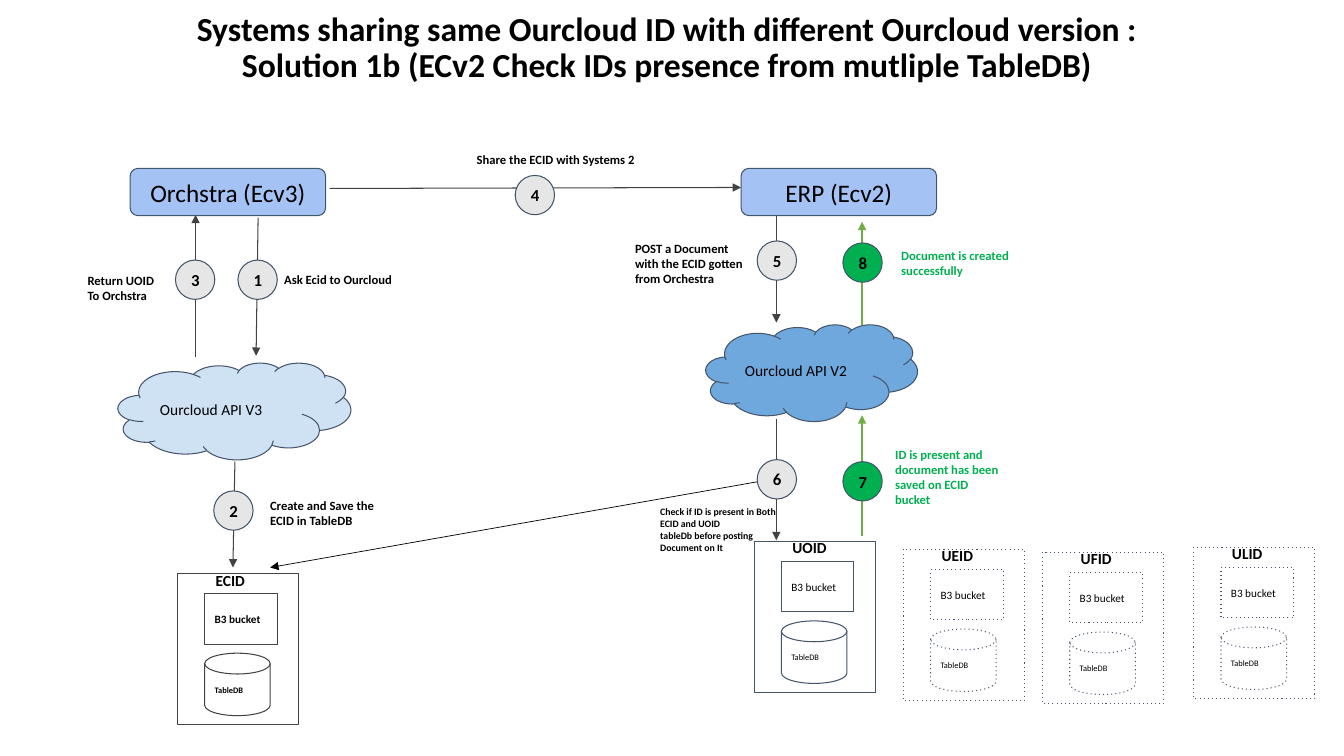
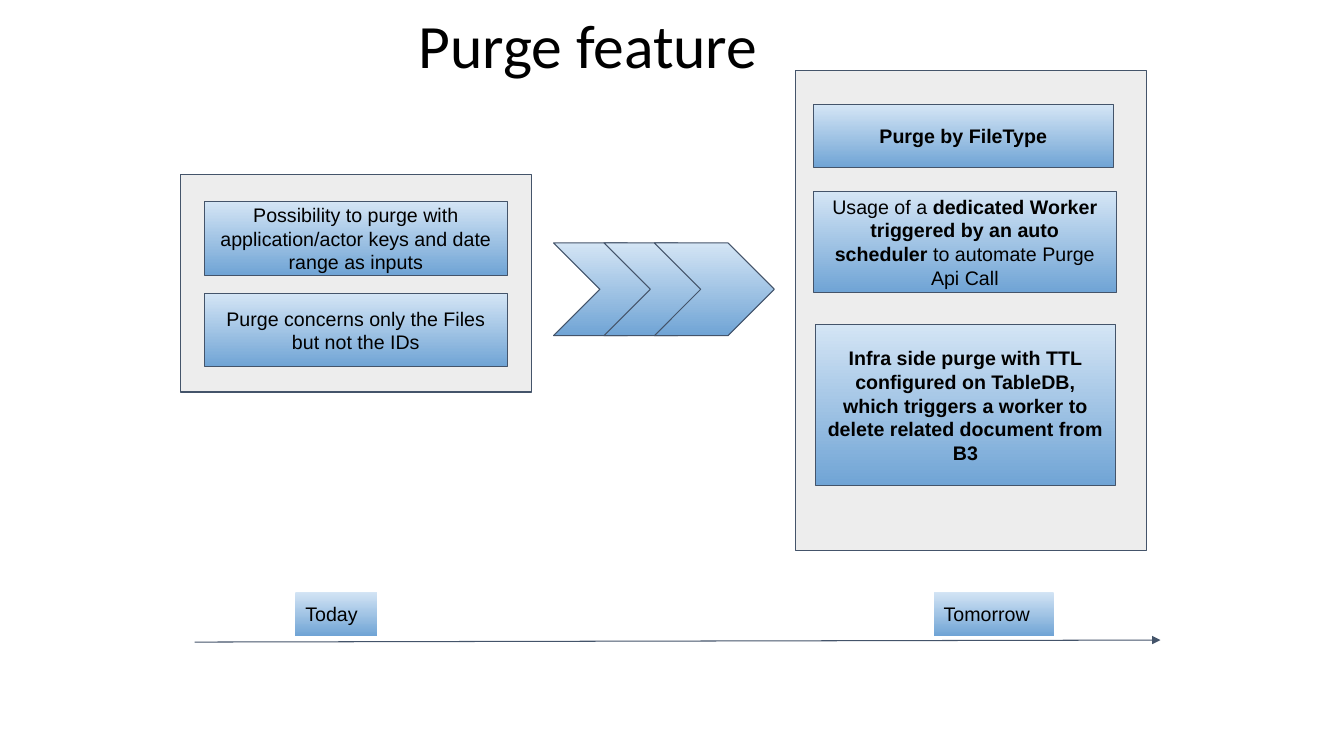
"""Builds two slides: a sharing flow between systems and the purge feature."""
from lxml import etree
from pptx import Presentation
from pptx import util as u
from pptx.dml.color import RGBColor
from pptx.enum import shapes, text
from pptx.oxml.ns import qn

HUES = {
    "ink": "000000", "edge": "44546A", "dark": "434343", "leaf": "70AD47",
    "green": "00B050", "grey": "E7E6E6", "panel": "EDEDED", "blue": "A4C2F4",
    "pale": "CFE2F3", "sky": "6FA8DC", "top": "D4E5F5", "base": "70A4D5",
}
CELL = 0.1
WIDE, HIGH = 133.3, 75
KIND = shapes.MSO_SHAPE
LEFT, MID = text.PP_ALIGN.LEFT, text.PP_ALIGN.CENTER
TOP, HALF = text.MSO_ANCHOR.TOP, text.MSO_ANCHOR.MIDDLE
SHADE = ("top", "base")


def grid(*cells):
    """Turn grid columns or rows into lengths."""
    return [u.Inches(cell * CELL) for cell in cells]


def hue(name):
    """Look up a colour by name."""
    return RGBColor.from_string(HUES[name])


def write(shape, words, size=14, font="Arial", tint="ink", bold=False,
          align=LEFT, anchor=HALF, inset=1, lead=None):
    """Fill a shape with text; lines are paragraphs and | flips bold."""
    frame = shape.text_frame
    frame.word_wrap = True
    frame.vertical_anchor = anchor
    pad, = grid(inset)
    frame.margin_left = frame.margin_right = pad
    frame.margin_top = frame.margin_bottom = pad
    for row, line in enumerate(words.split("\n")):
        para = frame.add_paragraph() if row else frame.paragraphs[0]
        para.alignment = align
        if lead:
            para.line_spacing = lead
        for turn, part in enumerate(line.split("|")):
            run = para.add_run()
            run.text = part
            run.font.name = font
            run.font.size = u.Pt(size)
            run.font.bold = bold != bool(turn % 2)
            run.font.color.rgb = hue(tint)


def label(page, place, words, **form):
    """Add a text box."""
    box = page.shapes.add_textbox(*grid(*place))
    write(box, words, **{"font": "Calibri", "size": 9, "bold": True,
                         "anchor": TOP, **form})


def title(page, place, words, **form):
    """Add the slide title."""
    label(page, place, words, anchor=HALF, lead=0.9, **form)


def shape(page, kind, place, fill=None, edge="edge", dots=False, words="", **form):
    """Add a preset shape, with a flat, shaded or empty fill."""
    item = page.shapes.add_shape(kind, *grid(*place))
    item.shadow.inherit = False
    if fill is None:
        item.fill.background()
    elif fill == SHADE:
        item.fill.gradient()
        item.fill.gradient_angle = 270
        for stop, name in zip(item.fill.gradient_stops, fill):
            stop.color.rgb = hue(name)
    else:
        item.fill.solid()
        item.fill.fore_color.rgb = hue(fill)
    if edge:
        item.line.color.rgb = hue(edge)
        item.line.width = u.Pt(0.75)
    else:
        item.line.fill.background()
    if dots:
        line = item._element.spPr.find(qn("a:ln"))
        etree.SubElement(line, qn("a:prstDash"), val="dot")
    if words:
        write(item, words, **form)


def arrow(page, start, tip, tint="dark", width=0.75):
    """Draw a line with an arrowhead at its tip."""
    item = page.shapes.add_connector(
        shapes.MSO_CONNECTOR.STRAIGHT, *grid(*start, *tip))
    item.line.color.rgb = hue(tint)
    item.line.width = u.Pt(width)
    part = item._element.spPr
    etree.SubElement(part.find(qn("a:ln")), qn("a:tailEnd"), type="triangle")
    etree.SubElement(part, qn("a:effectLst"))


def badge(page, left, top, step, fill="grey"):
    """Add a numbered step circle."""
    shape(page, KIND.OVAL, (left, top, 3.9, 3.9), fill, words=str(step),
          font="Calibri", size=12, bold=True)


def store(page, left, top, name, bold=False, **look):
    """Add a named store that holds a bucket and a table."""
    form = {"font": "Calibri", "bold": bold, **look}
    shape(page, KIND.RECTANGLE, (left, top, 12, 15), **look)
    shape(page, KIND.RECTANGLE, (left + 2.7, top + 2, 7.2, 5),
          words="B3 bucket", size=8, **form)
    shape(page, KIND.FLOWCHART_MAGNETIC_DISK, (left + 2.7, top + 7.9, 6.5, 6.2),
          words="TableDB", size=6, **form)
    label(page, (left + 2.8, top - 1.2, 6.1, 3.9), name, size=11)


def share(page):
    """Draw the sharing flow."""
    title(page, (-1, 1.7, WIDE + 1, 6.2),
          "Systems sharing same Ourcloud ID with different Ourcloud version :\n"
          "Solution 1b (ECv2 Check IDs presence from mutliple TableDB)",
          size=24, align=MID, inset=0)

    store(page, 17.6, 56.9, "ECID", bold=True, edge="dark")
    store(page, 74.8, 53.7, "UOID")
    for left, top, name in ((89.6, 54.5, "UEID"), (103.4, 54.8, "UFID"),
                            (118.4, 54.3, "ULID")):
        store(page, left, top, name, dots=True)

    for place, fill, words in (
            ((11.7, 36, 23.1, 9.6), "pale", "Ourcloud API V3"),
            ((70, 32.2, 21, 9.6), "sky", "Ourcloud API V2")):
        shape(page, KIND.CLOUD, place, fill, words=words, font="Calibri", size=11)

    for start, tip in (
            ((25.6, 21.6), (25.4, 35.3)), ((23.3, 45.8), (23.1, 56.3)),
            ((19.4, 35.4), (19.4, 21.3)), ((32.7, 18.7), (73.5, 18.6)),
            ((77, 21.2), (77, 32)), ((77, 41.6), (77, 53.6))):
        arrow(page, start, tip)
    for foot, tip in ((53.2, 41.2), (32.2, 22)):
        arrow(page, (85.5, foot), (85.5, tip), "leaf", 1)
    arrow(page, (75.1, 47.8), (26.8, 56.3), "ink", 0.5)

    spots = ((23.6, 25.8), (21.2, 48.7), (17.4, 25.8), (51.1, 17.4),
             (75.1, 23.9), (75.1, 45.6), (83.6, 45.8), (83.6, 24.1))
    for step, (left, top) in enumerate(spots, 1):
        badge(page, left, top, step, "green" if step > 6 else "grey")

    for place, words, form in (
            ((27.2, 26.2, 19.4, 5), "Ask Ecid to Ourcloud", {}),
            ((25.8, 48.4, 12.9, 6.6), "Create and Save the ECID in TableDB", {}),
            ((7.7, 26.1, 11.2, 5), "Return UOID\nTo Orchstra", {}),
            ((46.3, 14.3, 20.3, 3.5), "Share the ECID with Systems 2", {}),
            ((62, 22.9, 13.6, 6.6),
             "POST a Document with the ECID gotten from Orchestra", {}),
            ((64.5, 49.2, 13.6, 6.7),
             "Check if ID is present in Both ECID and UOID\n"
             "tableDb before posting Document on It", {"size": 7}),
            ((87.8, 43.3, 12.5, 8.1),
             "ID is present and document has been saved on ECID bucket",
             {"tint": "green"}),
            ((88.4, 23.6, 13, 5), "Document is created successfully",
             {"tint": "green"})):
        label(page, place, words, **form)

    for left, words in ((12.9, "Orchstra (Ecv3)"), (73.5, "ERP (Ecv2)")):
        shape(page, KIND.FLOWCHART_ALTERNATE_PROCESS, (left, 16.7, 19.4, 4.7),
              "blue", words=words, font="Calibri", size=18, align=MID)


def purge(page):
    """Draw the purge feature, today and tomorrow."""
    title(page, (40.5, -2.4, 75.9, 14.5), "Purge feature", size=44, bold=False)
    for place in ((78.9, 7, 34.8, 47.6), (17.9, 17.3, 34.8, 21.6)):
        shape(page, KIND.RECTANGLE, place, "panel")
    for turn in range(3):
        shape(page, KIND.CHEVRON, (54.9 + 5 * turn, 24.1, 21.9 - 10, 9.2), SHADE)
    arrow(page, (19.3, 63.7), (115.1, 63.5), "edge")
    for left, width, words in ((29.3, 8.1, "Today"), (92.6, 11.9, "Tomorrow")):
        shape(page, KIND.RECTANGLE, (left, 58.7, width, 4.4), SHADE, None,
              words=words, anchor=TOP)
    for place, words in (
            ((80.7, 10.4, 29.7, 6.2), "|Purge by FileType"),
            ((20.3, 20, 30, 7.3), "Possibility to purge with application/actor "
             "keys and date range as inputs"),
            ((20.3, 29.1, 30, 7.3),
             "Purge concerns only the Files but not the IDs"),
            ((80.7, 19, 30, 10), "Usage of a |dedicated Worker triggered by an "
             "auto scheduler| to automate Purge Api Call"),
            ((80.9, 32.2, 29.7, 16), "|Infra side purge with TTL configured on "
             "TableDB, which triggers a worker to delete related document "
             "from B3")):
        shape(page, KIND.RECTANGLE, place, SHADE, words=words, align=MID)


def main():
    """Build and save the deck."""
    deck = Presentation()
    deck.slide_width, deck.slide_height = grid(WIDE, HIGH)
    for draw in (share, purge):
        draw(deck.slides.add_slide(deck.slide_layouts[6]))
    deck.save("out.pptx")


if __name__ == "__main__":
    main()
